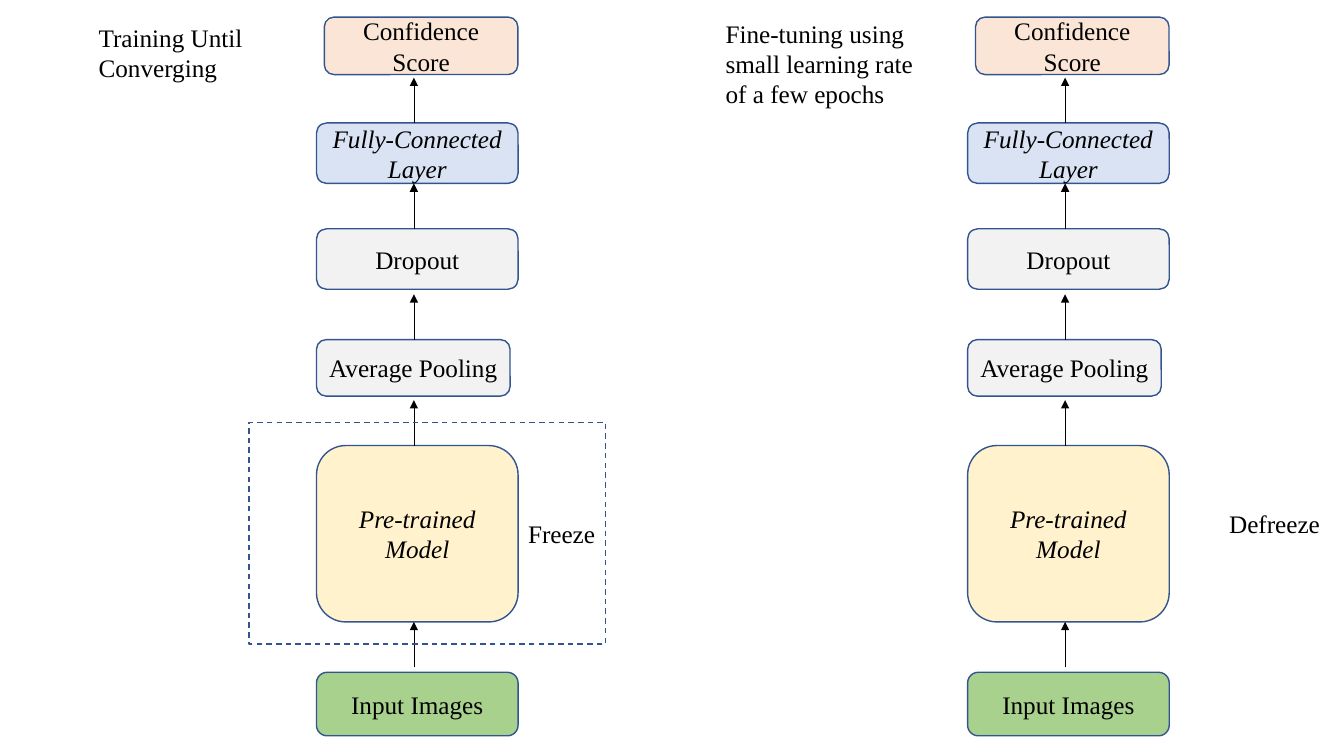
from lxml import etree
from pptx import Presentation
from pptx.dml.color import RGBColor
from pptx.enum import dml, shapes, text
from pptx.oxml import ns
from pptx.util import Pt

FONT = {"name": "Times New Roman", "size": Pt(18)}
OUTLINE, BLACK = "325491", "000000"

# Column-relative layers: label, fill, left, top, width, height, italic
LAYERS = [
    ("Input Images", "A9D18E", 0, 480.24, 144, 45.36, False),
    ("Pre-trained Model", "FFF2CC", 0, 318.24, 144, 126, True),
    ("Average Pooling", "F2F2F2", 0, 242.64, 138.24, 40.32, False),
    ("Dropout", "F2F2F2", 0, 163.44, 144, 43.2, False),
    ("Fully-Connected Layer", "DAE3F3", 0, 87.84, 144, 43.2, True),
    ("Confidence Score", "FBE5D6", 5.6, 12.24, 138.24, 41.04, False),
]
ARROW_STARTS = [476.64, 318.24, 242.64, 163.44, 87.84]
ARROW_OFFSET, ARROW_LENGTH = 69.6, 32.4
COLUMN_LEFTS = [226.08, 691.2]


def color(value):
    return RGBColor.from_string(value)


def write(shape, lines, align, italic=False):
    frame = shape.text_frame
    frame.text = "\n".join(lines)
    for para in frame.paragraphs:
        para.alignment = align
        for span in para.runs:
            for key, value in {**FONT, "italic": italic}.items():
                setattr(span.font, key, value)
            span.font.color.rgb = color(BLACK)


def add_box(page, kind, left, top, width, height, fill=None):
    box = page.shapes.add_shape(kind, Pt(left), Pt(top), Pt(width), Pt(height))
    box.shadow.inherit = False
    if fill:
        box.fill.solid()
        box.fill.fore_color.rgb = color(fill)
    else:
        box.fill.background()
    box.line.color.rgb = color(OUTLINE)
    box.line.width = Pt(1)
    return box


def add_up_arrow(page, x, start):
    arrow = page.shapes.add_connector(
        shapes.MSO_CONNECTOR.STRAIGHT, Pt(x), Pt(start), Pt(x), Pt(start - ARROW_LENGTH))
    arrow.line.color.rgb = color(BLACK)
    arrow.line.width = Pt(0.5)
    etree.SubElement(arrow.line._get_or_add_ln(), ns.qn("a:tailEnd"), type="triangle")
    etree.SubElement(arrow._element.spPr, ns.qn("a:effectLst"))


def add_label(page, left, top, width, height, lines, wrap=True):
    label = page.shapes.add_textbox(Pt(left), Pt(top), Pt(width), Pt(height))
    label.text_frame.word_wrap = wrap
    label.text_frame.auto_size = text.MSO_AUTO_SIZE.SHAPE_TO_FIT_TEXT
    write(label, lines, text.PP_ALIGN.LEFT)


def add_network(page, column):
    for name, fill, left, top, width, height, italic in LAYERS:
        box = add_box(page, shapes.MSO_SHAPE.ROUNDED_RECTANGLE,
                      column + left, top, width, height, fill)
        write(box, [name], text.PP_ALIGN.CENTER, italic)
    for start in ARROW_STARTS:
        add_up_arrow(page, column + ARROW_OFFSET, start)


def main():
    deck = Presentation()
    deck.slide_width, deck.slide_height = Pt(960), Pt(540)
    page = deck.slides.add_slide(deck.slide_layouts[6])

    # The same network in both training stages
    for column in COLUMN_LEFTS:
        add_network(page, column)

    # Frozen part of the first stage
    frozen = add_box(page, shapes.MSO_SHAPE.RECTANGLE, 177.84, 301.68, 254.88, 158.4)
    frozen.line.dash_style = dml.MSO_LINE.DASH
    add_label(page, 370.08, 366.48, 63.36, 28.8, ["Freeze"], wrap=False)
    add_label(page, 870.88, 359.28, 79.92, 28.8, ["Defreeze"], wrap=False)

    # Stage captions
    add_label(page, 63.36, 12.24, 162.72, 51.12, ["Training Until Converging"])
    add_label(page, 511.2, 9.36, 173.52, 72.72,
              ["Fine-tuning using", "small learning rate", "of a few epochs"])

    deck.save("out.pptx")


if __name__ == "__main__":
    main()
